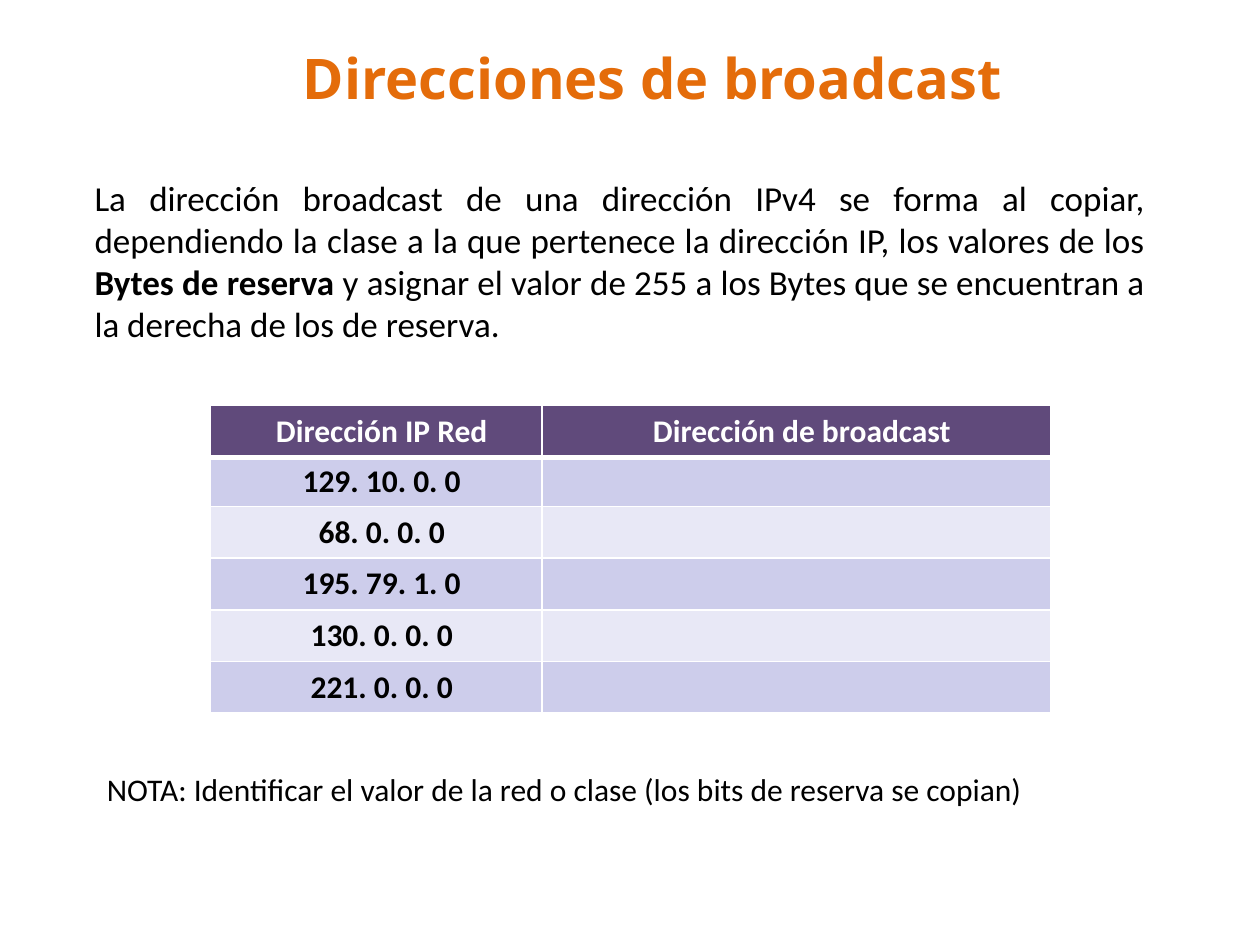
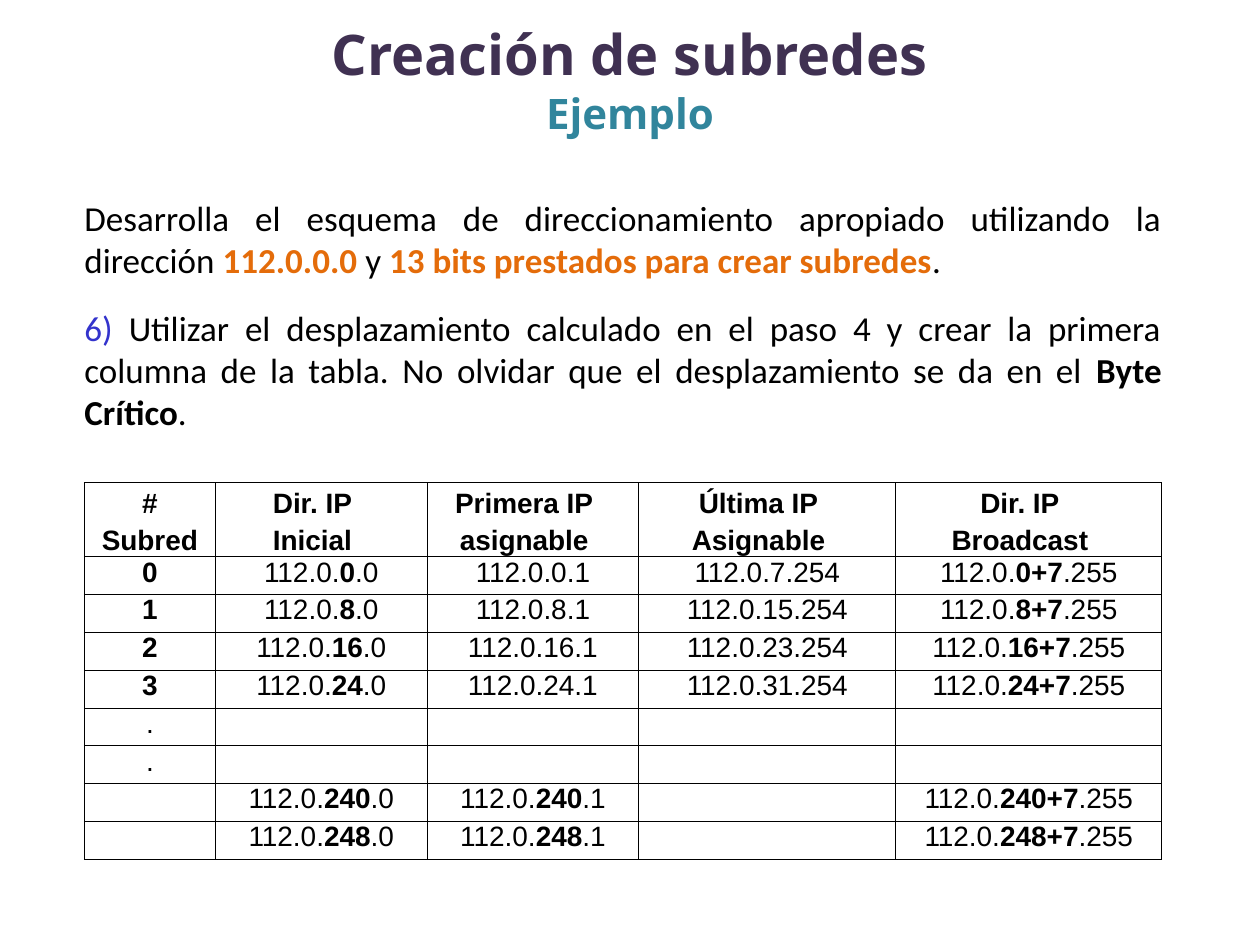
from dataclasses import dataclass
from lxml.etree import SubElement as Sub
from pptx import Presentation
from pptx.dml.color import RGBColor as Rgb
from pptx.enum.text import MSO_ANCHOR as Anchor, MSO_AUTO_SIZE as Auto, PP_ALIGN as Align
from pptx.oxml.ns import qn
from pptx.util import Inches, Pt


@dataclass(frozen=True)
class Theme:
    black: str = "000000"
    white: str = "FFFFFF"
    orange: str = "E46C0A"
    plum: str = "403152"
    teal: str = "31859C"
    blue: str = "3333CC"
    head: str = "604A7B"
    bands: tuple = ("CDCDEB", "E8E8F6")
    title: int = 32
    sub: int = 24
    body: int = 20
    cell: int = 18
    small: int = 16
    display: str = "Open Sans"
    text: str = "Calibri"
    grid: str = "Arial"


T = Theme()


def write(par, text, size, color=T.black, face=T.text, bold=False, accent=None, align=Align.CENTER):
    par.alignment = align
    par.font.size = Pt(size)
    par.font.name = face
    par.font.bold = bold
    par.font.color.rgb = Rgb.from_string(color)
    for i, part in enumerate(text.split("|")):
        if part:
            run = par.add_run()
            run.text = part
            if i % 2:
                run.font.bold = True
                if accent:
                    run.font.color.rgb = Rgb.from_string(accent)


def edge(cell, color, **sides):
    props = cell._tc.get_or_add_tcPr()
    for side in "LRTB":
        line = Sub(props, qn("a:ln" + side), w=str(Pt(sides[side])))
        Sub(Sub(line, qn("a:solidFill")), qn("a:srgbClr"), val=color)


deck = Presentation()
deck.slide_width, deck.slide_height = Inches(10), Inches(7.5)

pages = [
    dict(
        title=[("Direcciones de broadcast", T.title, T.orange)],
        head=(1.48, 0.31, 7.4, 0.6),
        body=["La dirección broadcast de una dirección IPv4 se forma al copiar, dependiendo la clase "
              "a la que pertenece la dirección IP, los valores de los |Bytes de reserva| y asignar "
              "el valor de 255 a los Bytes que se encuentran a la derecha de los de reserva."],
        area=(0.75, 1.4, 8.34, 1.35),
        accent=None,
    ),
    dict(
        title=[("Creación de subredes", T.title, T.plum), ("Ejemplo", T.sub, T.teal)],
        head=(0.1, 0, 9.8, 1.25),
        body=["Desarrolla el esquema de direccionamiento apropiado utilizando la dirección "
              "|112.0.0.0| y |13 bits prestados para crear subredes|.",
              "6) Utilizar el desplazamiento calculado en el paso 4 y crear la primera columna "
              "de la tabla. No olvidar que el desplazamiento se da en el |Byte Crítico|."],
        area=(0.67, 1.56, 8.55, 1.89),
        accent=T.orange,
    ),
]

slides = []
for page in pages:
    slide = deck.slides.add_slide(deck.slide_layouts[1])
    slides.append(slide)
    title, body = slide.shapes.title, slide.placeholders[1]
    for shape, box in ((title, page["head"]), (body, page["area"])):
        shape.left, shape.top, shape.width, shape.height = map(Inches, box)
        frame = shape.text_frame
        frame.word_wrap = True
        frame.auto_size = Auto.NONE
        frame.margin_left = frame.margin_right = frame.margin_top = frame.margin_bottom = 0
    title.text_frame.vertical_anchor = Anchor.MIDDLE
    for i, (text, size, color) in enumerate(page["title"]):
        frame = title.text_frame
        par = frame.add_paragraph() if i else frame.paragraphs[0]
        write(par, text, size, color, T.display, bold=True)
    for i, text in enumerate(page["body"]):
        frame = body.text_frame
        par = frame.add_paragraph() if i else frame.paragraphs[0]
        props = par._p.get_or_add_pPr()
        props.set("marL", "0")
        props.set("indent", "0")
        Sub(props, qn("a:buNone"))
        par.space_before = Pt(14.8 if i else 0)
        accent = None if i else page["accent"]
        if text.startswith("6)"):
            write(par, "6)", T.body, T.blue, align=Align.JUSTIFY)
            par.runs[0].font.color.rgb = Rgb.from_string(T.blue)
            text = text[2:]
        write(par, text, T.body, accent=accent, align=Align.JUSTIFY)

cast, nets = slides

rows = ["Dirección IP Red", "129. 10. 0. 0", "68. 0. 0. 0", "195. 79. 1. 0", "130. 0. 0. 0", "221. 0. 0. 0"]
table = cast.shapes.add_table(6, 2, Inches(1.67), Inches(3.22), Inches(6.67), Inches(2.43)).table
for col, width in zip(table.columns, (2.63, 4.04)):
    col.width = Inches(width)
for r, label in enumerate(rows):
    table.rows[r].height = Inches(0.39 if r == 1 else 0.41)
    for c, text in enumerate((label, "" if r else "Dirección de broadcast")):
        cell = table.cell(r, c)
        cell.margin_left = Inches(0.09)
        cell.margin_right = cell.margin_top = cell.margin_bottom = 0
        cell.vertical_anchor = Anchor.MIDDLE
        edge(cell, T.white, L=1, R=1, T=3 if r == 1 else 1, B=1 if r else 3)
        cell.fill.solid()
        cell.fill.fore_color.rgb = Rgb.from_string(T.bands[(r - 1) % 2] if r else T.head)
        write(cell.text_frame.paragraphs[0], text, T.cell, T.black if r else T.white, bold=True)

note = cast.shapes.add_textbox(Inches(0.75), Inches(6.06), Inches(8.34), Inches(0.4)).text_frame
note.word_wrap = True
write(note.paragraphs[0], "NOTA: Identificar el valor de la red o clase (los bits de reserva se copian)",
      T.cell, align=Align.JUSTIFY)

rows = [["#\nSubred", "Dir. IP\nInicial", "Primera IP\nasignable", "Última IP\nAsignable", "Dir. IP\nBroadcast"]]
for n in range(4):
    v = 8 * n
    rows.append([f"|{n}|", f"112.0.|{v}|.0", f"112.0.{v}.1", f"112.0.{v + 7}.254", f"112.0.|{v}+7|.255"])
rows += [[".", "", "", "", ""]] * 2
for v in (240, 248):
    rows.append(["", f"112.0.|{v}|.0", f"112.0.|{v}|.1", "", f"112.0.|{v}+7|.255"])

table = nets.shapes.add_table(9, 5, Inches(0.67), Inches(3.83), Inches(8.55), Inches(2.99)).table
table.first_row = table.horz_banding = False
for col, width in zip(table.columns, (1.04, 1.68, 1.68, 2.04, 2.11)):
    col.width = Inches(width)
for r, row in enumerate(rows):
    table.rows[r].height = Inches(0.3 if r else 0.59)
    for c, text in enumerate(row):
        cell = table.cell(r, c)
        cell.margin_left = cell.margin_top = cell.margin_bottom = 0
        cell.margin_right = Inches(0.14 if c and not r else 0)
        edge(cell, T.black, L=0.63, R=0.63, T=0.65, B=0.65)
        cell.fill.background()
        for i, line in enumerate(text.split("\n")):
            frame = cell.text_frame
            par = frame.add_paragraph() if i else frame.paragraphs[0]
            if not r:
                par.line_spacing = Pt(21)
            write(par, line, T.small, face=T.grid, bold=not r)

deck.save("out.pptx")
